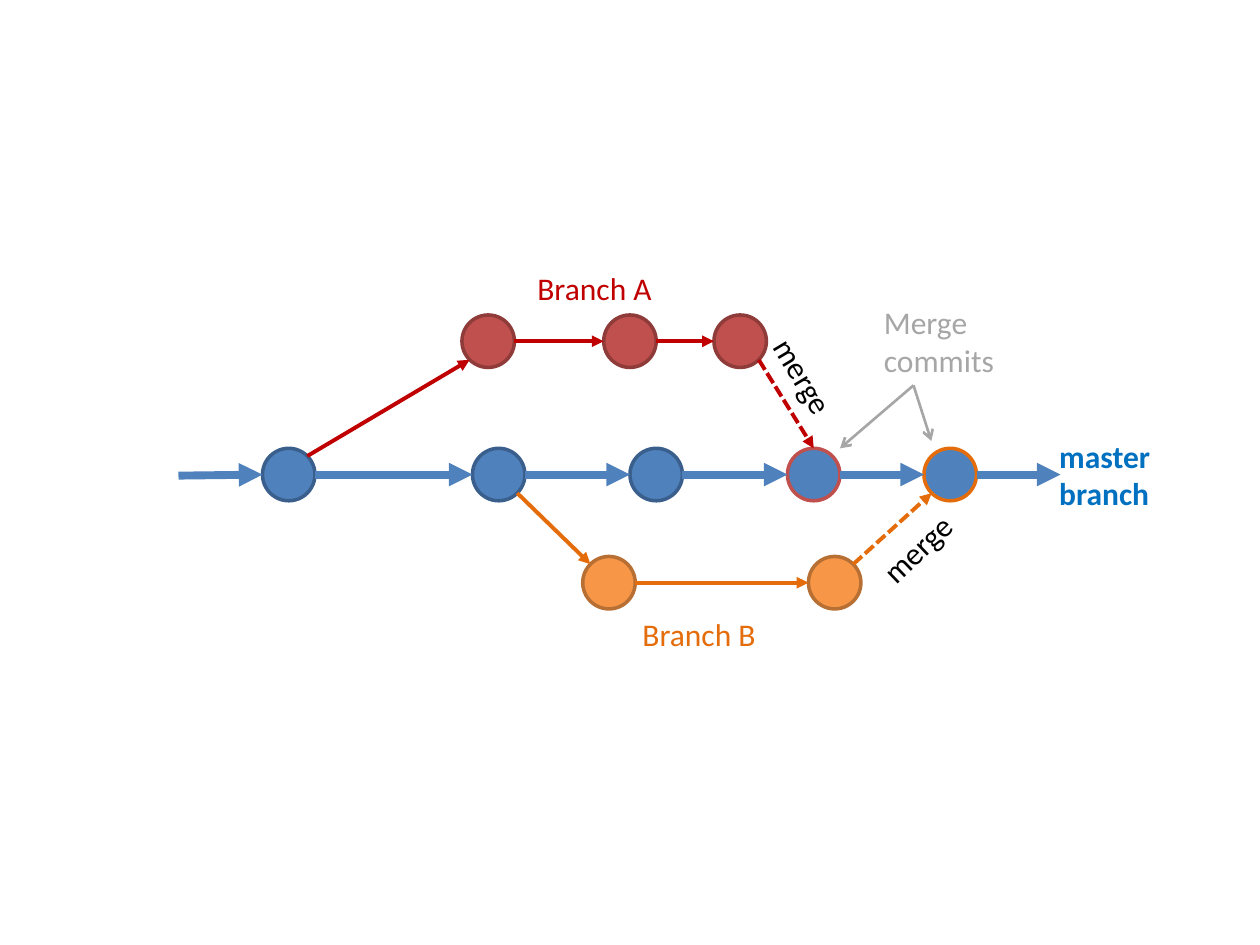
from dataclasses import dataclass
from math import sqrt

from lxml import etree
from pptx import Presentation
from pptx.dml.color import RGBColor
from pptx.enum.dml import MSO_LINE
from pptx.enum.shapes import MSO_CONNECTOR, MSO_SHAPE
from pptx.enum.text import MSO_AUTO_SIZE
from pptx.oxml.ns import qn
from pptx.util import Pt

NODE_SHAPE = MSO_SHAPE.FLOWCHART_CONNECTOR
STRAIGHT = MSO_CONNECTOR.STRAIGHT
SHORT_DASH = MSO_LINE.SQUARE_DOT
FIT_SHAPE = MSO_AUTO_SIZE.SHAPE_TO_FIT_TEXT

EMU_PER_PX = 7620
NODE_SIZE = 50
DIAGONAL = sqrt(2) / 4
TOP, TOP_LEFT, LEFT, BOTTOM_LEFT, BOTTOM, BOTTOM_RIGHT, RIGHT, TOP_RIGHT = range(8)
SITE_OFFSETS = {
    TOP: (0, -0.5),
    TOP_LEFT: (-DIAGONAL, -DIAGONAL),
    LEFT: (-0.5, 0),
    BOTTOM_LEFT: (-DIAGONAL, DIAGONAL),
    BOTTOM: (0, 0.5),
    BOTTOM_RIGHT: (DIAGONAL, DIAGONAL),
    RIGHT: (0.5, 0),
    TOP_RIGHT: (DIAGONAL, -DIAGONAL),
}


@dataclass(frozen=True)
class Theme:
    font: str = "Calibri"
    text_size: int = 18
    node_line: float = 2
    master_line: float = 4.5
    branch_line: float = 2.25
    note_line: float = 1.5
    master: str = "4F81BD"
    master_outline: str = "3A5F8C"
    master_text: str = "0070C0"
    red: str = "C0504D"
    red_outline: str = "8E3B39"
    red_arrow: str = "C00000"
    orange: str = "F79646"
    orange_outline: str = "B76F34"
    orange_arrow: str = "E46C0A"
    note: str = "A6A6A6"
    merge_text: str = "000000"


THEME = Theme()


def px(value):
    return round(value * EMU_PER_PX)


def add_node(slide, left, top, fill, outline):
    node = slide.shapes.add_shape(
        NODE_SHAPE, px(left), px(top), px(NODE_SIZE), px(NODE_SIZE))
    node.shadow.inherit = False
    node.fill.solid()
    node.fill.fore_color.rgb = RGBColor.from_string(fill)
    node.line.color.rgb = RGBColor.from_string(outline)
    node.line.width = Pt(THEME.node_line)
    return node


def add_label(slide, box, text, color, bold=False, rotation=0):
    label = slide.shapes.add_textbox(*map(px, box))
    label.rotation = rotation
    frame = label.text_frame
    frame.word_wrap = True
    frame.auto_size = FIT_SHAPE
    paragraph = frame.paragraphs[0]
    paragraph.text = text
    paragraph.font.name = THEME.font
    paragraph.font.size = Pt(THEME.text_size)
    paragraph.font.bold = bold
    paragraph.font.color.rgb = RGBColor.from_string(color)


def add_arrow(slide, start, end, color, width, head="triangle", dash=None):
    arrow = slide.shapes.add_connector(STRAIGHT, *map(px, (*start, *end)))
    arrow.line.color.rgb = RGBColor.from_string(color)
    arrow.line.width = Pt(width)
    if dash:
        arrow.line.dash_style = dash
    properties = arrow._element.spPr
    etree.SubElement(properties.find(qn("a:ln")), qn("a:tailEnd"), type=head)
    etree.SubElement(properties, qn("a:effectLst"))
    return arrow


def site_point(node, site):
    across, down = SITE_OFFSETS[site]
    return (node.left / EMU_PER_PX + NODE_SIZE * (0.5 + across),
            node.top / EMU_PER_PX + NODE_SIZE * (0.5 + down))


def link_nodes(slide, source, source_site, target, target_site, color, width, dash=None):
    arrow = add_arrow(slide, site_point(source, source_site),
                      site_point(target, target_site), color, width, dash=dash)
    connection = arrow._element.find(".//" + qn("p:cNvCxnSpPr"))
    for tag, node, site in (("a:stCxn", source, source_site),
                            ("a:endCxn", target, target_site)):
        etree.SubElement(connection, qn(tag), id=str(node.shape_id), idx=str(site))


def draw_commits(slide, left, top, offsets, fill, outlines, color, width):
    nodes = [add_node(slide, left + offset, top, fill, outline)
             for offset, outline in zip(offsets, outlines)]
    for source, target in zip(nodes, nodes[1:]):
        link_nodes(slide, source, RIGHT, target, LEFT, color, width)
    return nodes


def draw_master(slide, box):
    left, top, width, height = box
    outlines = [THEME.master_outline] * 3 + [THEME.red, THEME.orange_arrow]
    nodes = draw_commits(slide, left, top, (80, 280, 430, 580, 710), THEME.master,
                         outlines, THEME.master, THEME.master_line)
    middle = top + height / 2
    style = (THEME.master, THEME.master_line)
    add_arrow(slide, (left, middle + 1), site_point(nodes[0], LEFT), *style)
    add_arrow(slide, site_point(nodes[-1], RIGHT), (left + width, middle), *style)
    add_label(slide, (left + width - 13, top - 17, 140, 85), "master branch",
              THEME.master_text, bold=True)
    return nodes


def draw_branch_a(slide, box):
    left, top = box[:2]
    add_label(slide, (left + 60, top, 200, 48), "Branch A", THEME.red_arrow)
    return draw_commits(slide, left, top + 50, (0, 135, 240), THEME.red,
                        [THEME.red_outline] * 3, THEME.red_arrow, THEME.branch_line)


def draw_branch_b(slide, box):
    left, top = box[:2]
    add_label(slide, (left + 45, top + 50, 200, 48), "Branch B", THEME.orange_arrow)
    return draw_commits(slide, left, top, (0, 215), THEME.orange,
                        [THEME.orange_outline] * 2, THEME.orange_arrow, THEME.branch_line)


def draw_forks_and_merges(slide, master, branch_a, branch_b):
    red = (THEME.red_arrow, THEME.branch_line)
    orange = (THEME.orange_arrow, THEME.branch_line)
    link_nodes(slide, master[0], TOP_RIGHT, branch_a[0], BOTTOM_LEFT, *red)
    link_nodes(slide, branch_a[-1], BOTTOM_RIGHT, master[3], TOP, *red, SHORT_DASH)
    link_nodes(slide, master[1], BOTTOM_RIGHT, branch_b[0], TOP_LEFT, *orange)
    link_nodes(slide, branch_b[-1], TOP_RIGHT, master[4], BOTTOM_LEFT, *orange, SHORT_DASH)
    for left, top, rotation in ((710, 342, 59.1), (820, 492, 316.2)):
        add_label(slide, (left, top, 120, 48), "merge", THEME.merge_text, rotation=rotation)


def draw_merge_note(slide, box):
    left, top, width, height = box
    add_label(slide, (left, top, width, 85), "Merge commits", THEME.note)
    start = (left + 40, top + 84)
    for end in ((left - 30, top + height), (left + 57, top + height - 7)):
        add_arrow(slide, start, end, THEME.note, THEME.note_line, head="arrow")


def main():
    presentation = Presentation()
    presentation.slide_width, presentation.slide_height = px(1200), px(900)
    slide = presentation.slides.add_slide(presentation.slide_layouts[6])
    master = draw_master(slide, (170, 427, 840, NODE_SIZE))
    branch_a = draw_branch_a(slide, (440, 250, 290, 100))
    branch_b = draw_branch_b(slide, (555, 530, 265, 98))
    draw_forks_and_merges(slide, master, branch_a, branch_b)
    draw_merge_note(slide, (830, 283, 150, 144))
    presentation.save("out.pptx")


if __name__ == "__main__":
    main()
